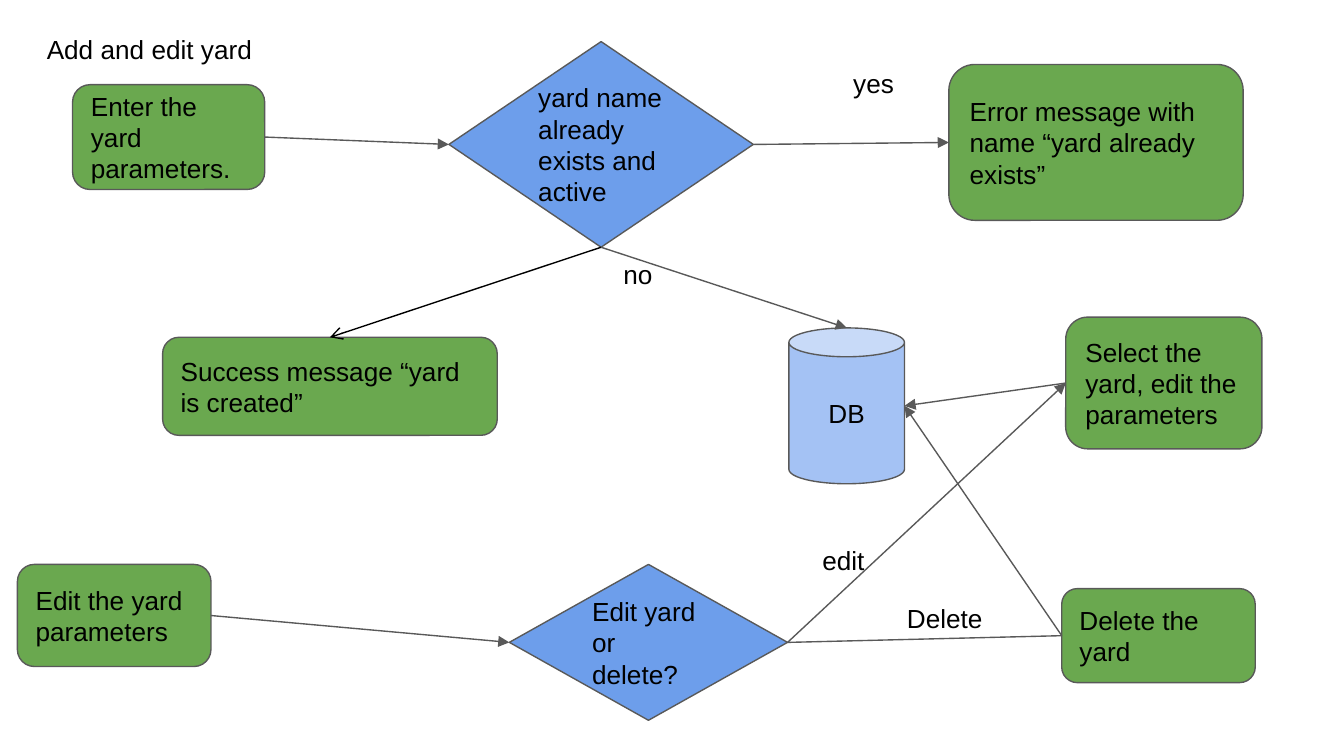
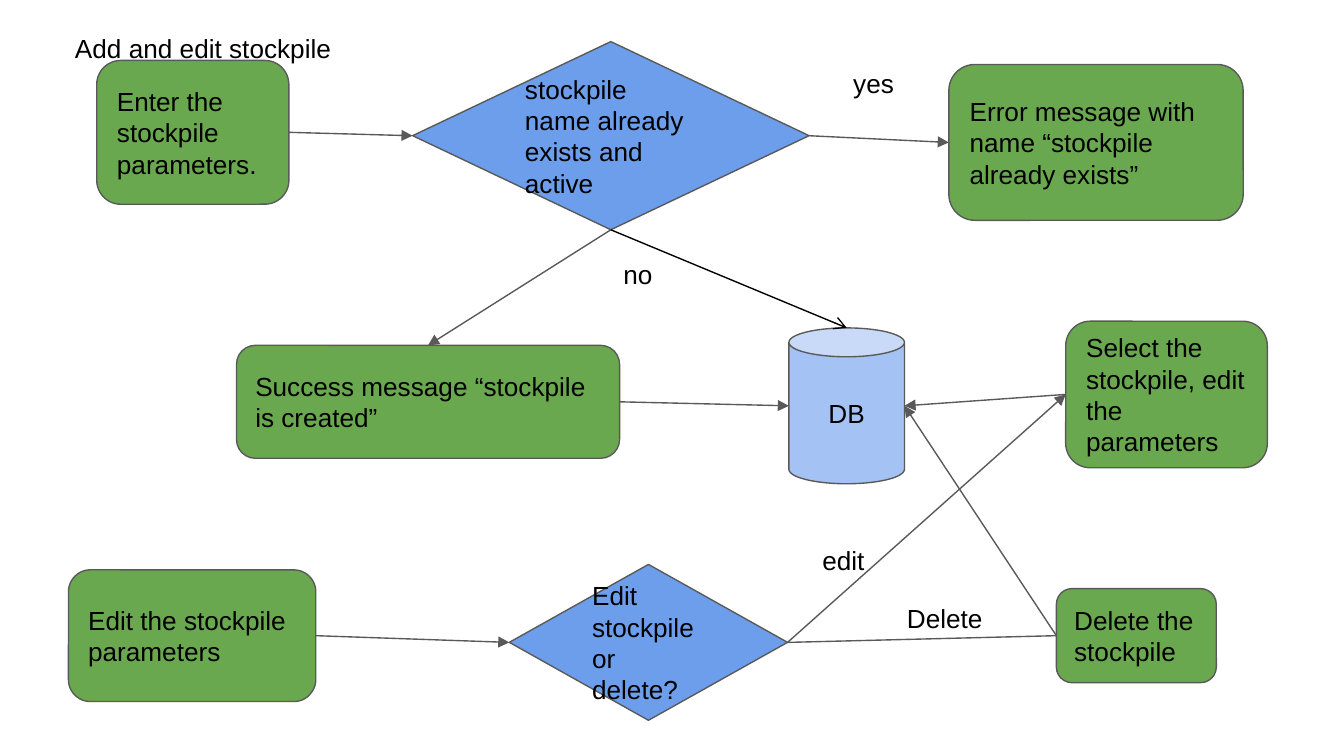
"""Two flowcharts: adding, editing and deleting yards and stockpiles."""
from dataclasses import dataclass

from lxml import etree
from pptx import Presentation
from pptx.dml.color import RGBColor
from pptx.enum.shapes import MSO_CONNECTOR, MSO_SHAPE
from pptx.enum.text import MSO_ANCHOR, PP_ALIGN
from pptx.oxml.ns import qn
from pptx.util import Inches, Pt

GREEN = RGBColor(0x6A, 0xA8, 0x4F)
BLUE = RGBColor(0x6D, 0x9E, 0xEB)
PALE_BLUE = RGBColor(0xA4, 0xC2, 0xF4)
GRAY = RGBColor(0x59, 0x59, 0x59)
BLACK = RGBColor(0, 0, 0)

STEP, DECISION, STORE = (
    MSO_SHAPE.ROUNDED_RECTANGLE, MSO_SHAPE.FLOWCHART_DECISION, MSO_SHAPE.CAN)
STRAIGHT = MSO_CONNECTOR.STRAIGHT
MIDDLE, TOP_ANCHOR = MSO_ANCHOR.MIDDLE, MSO_ANCHOR.TOP
LEFT_ALIGN, CENTER = PP_ALIGN.LEFT, PP_ALIGN.CENTER
TOP, LEFT, BOTTOM, RIGHT = range(4)

FILLS = {STEP: GREEN, DECISION: BLUE, STORE: PALE_BLUE}
FONT = {"name": "Arial", "size": Pt(14)}
LINE_WIDTH = Pt(0.75)
INSET = Inches(0.1)

SLIDE_WIDTH, SLIDE_HEIGHT = Inches(10), Inches(5.625)
CELL = SLIDE_WIDTH / 100  # square grid: 100 columns, 56.25 rows


@dataclass
class Box:
    """A rectangle in columns and rows."""
    left: float
    top: float
    width: float
    height: float

    def within(self, region):
        """Return left, top, width and height in EMU, measured from a region."""
        cells = (region.left + self.left, region.top + self.top,
                 self.width, self.height)
        return [round(cell * CELL) for cell in cells]


ADD_REGION = Box(0, 0, 100, 37)
EDIT_REGION = Box(0, 23, 100, 33.25)

# Boxes that both charts share
STORE_BOX = Box(58.7, 24.4, 8.6, 11.6)
ERROR_BOX = Box(70.6, 4.8, 21.9, 11.6)
YES_BOX = Box(62.5, 4, 7.5, 4.5)
NO_BOX = Box(45.4, 18.2, 6.2, 5.9)
CHOICE_BOX = Box(37.9, 19, 20.7, 11.6)
EDIT_LABEL_BOX = Box(60.2, 16.5, 8, 5.9)
DELETE_LABEL_BOX = Box(66.5, 20.8, 8.6, 7.2)

CHARTS = [
    {"item": "yard", "title": Box(2.5, 1.5, 20.6, 3.4),
     "enter": Box(5.4, 6.3, 14.3, 7.8), "exists": Box(33.4, 3.1, 22.65, 15.3),
     "success": Box(12.1, 25.1, 24.9, 7.3), "edit": Box(1.3, 19, 14.4, 7.6),
     "select": Box(79.3, 0.6, 14.6, 9.8), "delete": Box(79, 20.8, 14.4, 7),
     "open_arrow": "success", "success_saves": False},
    {"item": "stockpile", "title": Box(4.6, 1.4, 24.3, 3.9),
     "enter": Box(7.2, 4.5, 14.3, 10.7), "exists": Box(30.7, 3.1, 29.5, 14),
     "success": Box(17.6, 25.7, 28.5, 8.4), "edit": Box(5.1, 19.4, 18.4, 9.8),
     "select": Box(79.3, 0.9, 15, 10.9), "delete": Box(78.6, 20.8, 11.9, 7),
     "open_arrow": "store", "success_saves": True},
]


def write(shape, text, anchor, align):
    """Put black wrapped text into a shape."""
    frame = shape.text_frame
    settings = {"word_wrap": True, "vertical_anchor": anchor,
                "margin_left": INSET, "margin_top": INSET,
                "margin_right": INSET, "margin_bottom": INSET}
    for key, value in settings.items():
        setattr(frame, key, value)
    paragraph = frame.paragraphs[0]
    paragraph.alignment = align
    run = paragraph.add_run()
    run.text = text
    for key, value in FONT.items():
        setattr(run.font, key, value)
    run.font.color.rgb = BLACK


def add_label(slide, region, box, text):
    """Add loose text, such as the title or the answer on a line."""
    label = slide.shapes.add_textbox(*box.within(region))
    write(label, text, TOP_ANCHOR, LEFT_ALIGN)


def add_node(slide, region, box, kind, text):
    """Add a step, a decision or a store, coloured by its kind."""
    node = slide.shapes.add_shape(kind, *box.within(region))
    node.shadow.inherit = False
    node.fill.solid()
    node.fill.fore_color.rgb = FILLS[kind]
    node.line.color.rgb = GRAY
    node.line.width = LINE_WIDTH
    write(node, text, MIDDLE, CENTER if kind == STORE else LEFT_ALIGN)
    return node


def side_point(node, side):
    """Return the middle of one side of a node."""
    x_share, y_share = {TOP: (0.5, 0), LEFT: (0, 0.5),
                        BOTTOM: (0.5, 1), RIGHT: (1, 0.5)}[side]
    return (round(node.left + node.width * x_share),
            round(node.top + node.height * y_share))


def link(slide, start, start_side, end, end_side, head="triangle", color=GRAY):
    """Draw a line between two nodes, with an arrowhead unless head is None."""
    line = slide.shapes.add_connector(
        STRAIGHT, *side_point(start, start_side), *side_point(end, end_side))
    line.begin_connect(start, start_side)
    if end.auto_shape_type != STORE:  # a can numbers its sides differently
        line.end_connect(end, end_side)
    line.line.color.rgb = color
    line.line.width = LINE_WIDTH
    properties = line._element.spPr
    if head:
        etree.SubElement(properties.find(qn("a:ln")), qn("a:tailEnd"), type=head)
    etree.SubElement(properties, qn("a:effectLst"))


def add_adding_flow(slide, region, chart):
    """Build the upper flow, from entering parameters to the store."""
    item = chart["item"]
    add_label(slide, region, chart["title"], f"Add and edit {item}")
    enter = add_node(slide, region, chart["enter"], STEP,
                     f"Enter the {item} parameters.")
    exists = add_node(slide, region, chart["exists"], DECISION,
                      f"{item} name already exists and active")
    error = add_node(slide, region, ERROR_BOX, STEP,
                     f"Error message with name “{item} already exists”")
    success = add_node(slide, region, chart["success"], STEP,
                       f"Success message “{item} is created”")
    store = add_node(slide, region, STORE_BOX, STORE, "DB")

    link(slide, enter, RIGHT, exists, LEFT)
    link(slide, exists, RIGHT, error, LEFT)
    for name, result in {"success": success, "store": store}.items():
        style = ("arrow", BLACK) if name == chart["open_arrow"] else ("triangle", GRAY)
        link(slide, exists, BOTTOM, result, TOP, *style)
    if chart["success_saves"]:
        link(slide, success, RIGHT, store, LEFT)
    add_label(slide, region, YES_BOX, "yes")
    add_label(slide, region, NO_BOX, "no")
    return store


def add_editing_flow(slide, region, chart, store):
    """Build the lower flow, from editing or deleting to the store."""
    item = chart["item"]
    edit = add_node(slide, region, chart["edit"], STEP,
                    f"Edit the {item} parameters")
    choice = add_node(slide, region, CHOICE_BOX, DECISION,
                      f"Edit {item} or delete?")
    select = add_node(slide, region, chart["select"], STEP,
                      f"Select the {item}, edit the parameters")
    delete = add_node(slide, region, chart["delete"], STEP, f"Delete the {item}")

    link(slide, edit, RIGHT, choice, LEFT)
    link(slide, choice, RIGHT, select, LEFT)
    link(slide, choice, RIGHT, delete, LEFT, head=None)
    for action in (select, delete):
        link(slide, action, LEFT, store, RIGHT)
    add_label(slide, region, EDIT_LABEL_BOX, "edit")
    add_label(slide, region, DELETE_LABEL_BOX, "Delete")


def main():
    """Build one slide for each chart and save the deck."""
    deck = Presentation()
    deck.slide_width, deck.slide_height = SLIDE_WIDTH, SLIDE_HEIGHT
    for chart in CHARTS:
        slide = deck.slides.add_slide(deck.slide_layouts[6])
        store = add_adding_flow(slide, ADD_REGION, chart)
        add_editing_flow(slide, EDIT_REGION, chart, store)
    deck.save("out.pptx")


main()
